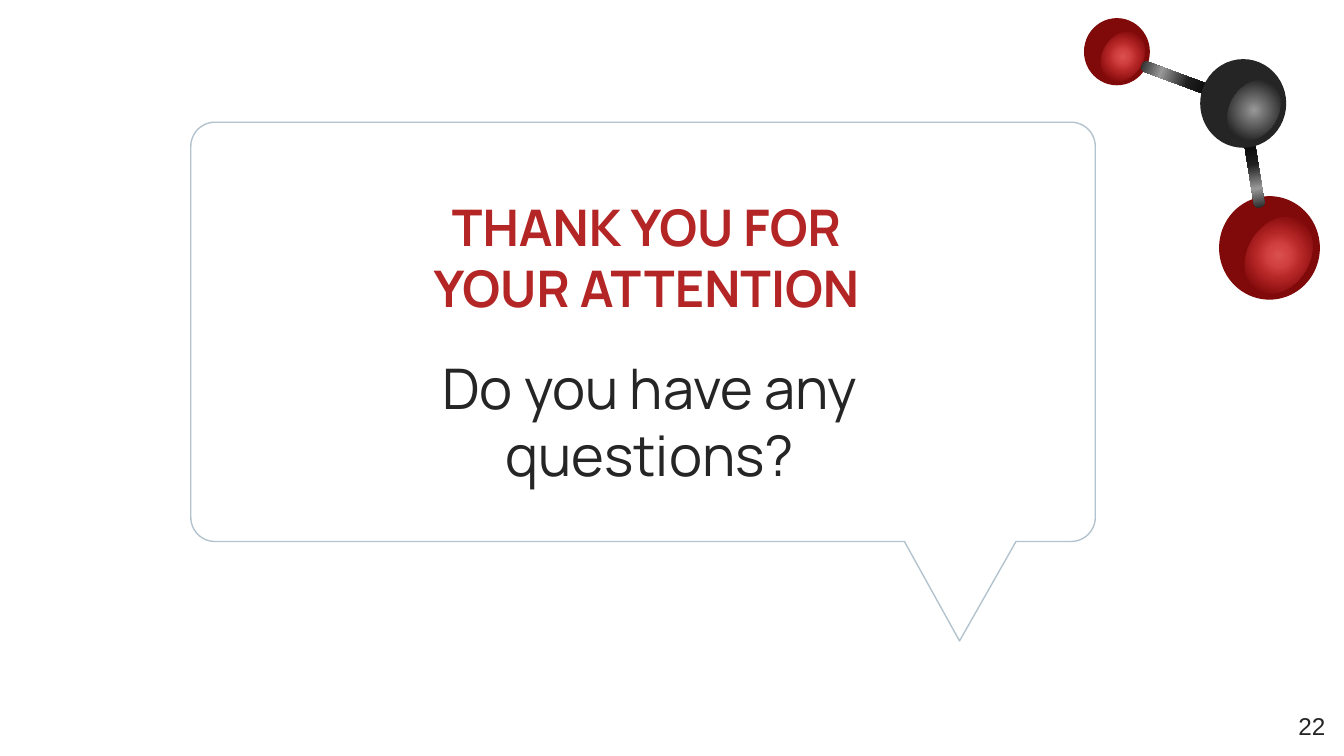
from math import cos, radians, sin

from pptx import Presentation
from pptx.dml.color import RGBColor as RGB
from pptx.enum.shapes import MSO_SHAPE as SHAPE
from pptx.enum.text import MSO_ANCHOR as ANCHOR, PP_ALIGN as ALIGN
from pptx.oxml.ns import qn
from pptx.util import Inches, Pt
from lxml.etree import SubElement as Sub

COLORS = {"red": "B42526", "dark": "252525", "blood": "800909", "line": "B3C3CE"}
RED_GLOW = [(0, "DA5050"), (16, "D24141"), (34, "B42526"), (61, "800909"), (100, "800909")]
GREY_GLOW = [(0, "999999"), (58, "252525"), (100, "252525")]
BOND = [(0, "252525"), (30, "999999"), (66, "1E1E1E"), (100, "050505")]


def color(name):
    return RGB.from_string(COLORS[name])


def place(shape, box):
    shape.left, shape.top, shape.width, shape.height = map(Inches, box)


def write(shape, text, size, font, tint, align, bold=False):
    frame = shape.text_frame
    frame.word_wrap = True
    frame.margin_left = frame.margin_right = Inches(0.1)
    frame.margin_top = frame.margin_bottom = Inches(0.1)
    para = frame.paragraphs[0]
    para.alignment = align
    run = para.add_run()
    run.text = text
    run.font.size, run.font.name, run.font.bold = Pt(size), font, bold
    run.font.color.rgb = color(tint)


def add_text(slide, box, *style):
    write(slide.shapes.add_textbox(*map(Inches, box)), *style)


def add_solid(slide, kind, box, turn=0):
    shape = slide.shapes.add_shape(kind, *map(Inches, box))
    shape.rotation = turn
    shape.shadow.inherit = False
    shape.line.fill.background()
    return shape


def shade(shape, stops, round_=False):
    """Fill with a gradient, along the shape or from its centre."""
    shape.fill.gradient()
    shape.fill.gradient_angle = 0
    grad = shape._element.spPr.find(qn("a:gradFill"))
    items = grad.find(qn("a:gsLst"))
    for old in list(items):
        items.remove(old)
    for pos, tint in stops:
        stop = Sub(items, qn("a:gs"), pos=str(pos * 1000))
        Sub(stop, qn("a:srgbClr"), val=tint)
    if round_:
        grad.remove(grad.find(qn("a:lin")))
        ring = Sub(grad, qn("a:path"), path="circle")
        Sub(ring, qn("a:fillToRect"), l="50000", t="50000", r="50000", b="50000")


def add_atom(slide, box, glow_box, tint, glow):
    ball = add_solid(slide, SHAPE.OVAL, box, 90)
    ball.fill.solid()
    ball.fill.fore_color.rgb = color(tint)
    shade(add_solid(slide, SHAPE.OVAL, glow_box, 121.4), glow, True)


def add_bond(slide, box, turn):
    bond = add_solid(slide, SHAPE.ROUNDED_RECTANGLE, box, turn)
    bond.adjustments[0] = 0.4
    shade(bond, BOND)


def corner(x, y, rad, start):
    """Points of a quarter circle, run counter-clockwise on the slide."""
    turns = [radians(start - 7.5 * i) for i in range(13)]
    return [(x + rad * cos(t), y + rad * sin(t)) for t in turns]


def add_bubble(slide):
    left, top, right, low, rad = 1.42, 0.91, 8.15, 4.03, 0.18
    points = (
        corner(left + rad, top + rad, rad, 270)
        + corner(left + rad, low - rad, rad, 180)
        + [(6.73, low), (7.14, 4.77), (7.56, low)]
        + corner(right - rad, low - rad, rad, 90)
        + corner(right - rad, top + rad, rad, 0)
    )
    points = [(Inches(x), Inches(y)) for x, y in points]
    pen = slide.shapes.build_freeform(*points[0])
    pen.add_line_segments(points[1:], close=True)
    bubble = pen.convert_to_shape()
    bubble.shadow.inherit = False
    bubble.fill.background()
    bubble.line.color.rgb = color("line")
    bubble.line.width = Pt(0.75)


def main():
    # Slide in 16:9
    deck = Presentation()
    deck.slide_width = Inches(10)
    deck.slide_height = Inches(10 * 9 / 16)
    slide = deck.slides.add_slide(deck.slide_layouts[5])

    # Texts
    title = slide.shapes.title
    place(title, (2.93, 1.28, 3.76, 1.26))
    title.text_frame.vertical_anchor = ANCHOR.MIDDLE
    write(title, "THANK YOU FOR YOUR ATTENTION", 27, "Manrope", "red", ALIGN.CENTER, True)
    add_text(slide, (9.36, 5.19, 0.6, 0.43), "22", 13, "Arial", "dark", ALIGN.RIGHT)
    add_text(slide, (2.82, 2.53, 4.03, 1.21), "Do you have any questions?",
             30, "Manrope", "dark", ALIGN.CENTER)

    # Molecule: the bonds lie over the red atoms and under the dark one
    add_atom(slide, (9.06, 1.47, 0.77, 0.75), (9.21, 1.67, 0.61, 0.46), "blood", RED_GLOW)
    add_atom(slide, (8.06, 0.14, 0.5, 0.49), (8.16, 0.27, 0.39, 0.3), "blood", RED_GLOW)
    add_bond(slide, (9.09, 1.26, 0.49, 0.08), 260.9)
    add_bond(slide, (8.48, 0.54, 0.54, 0.08), 20.4)
    add_atom(slide, (8.92, 0.45, 0.66, 0.64), (9.09, 0.64, 0.48, 0.36), "dark", GREY_GLOW)

    # Speech bubble
    add_bubble(slide)
    deck.save("out.pptx")


if __name__ == "__main__":
    main()
